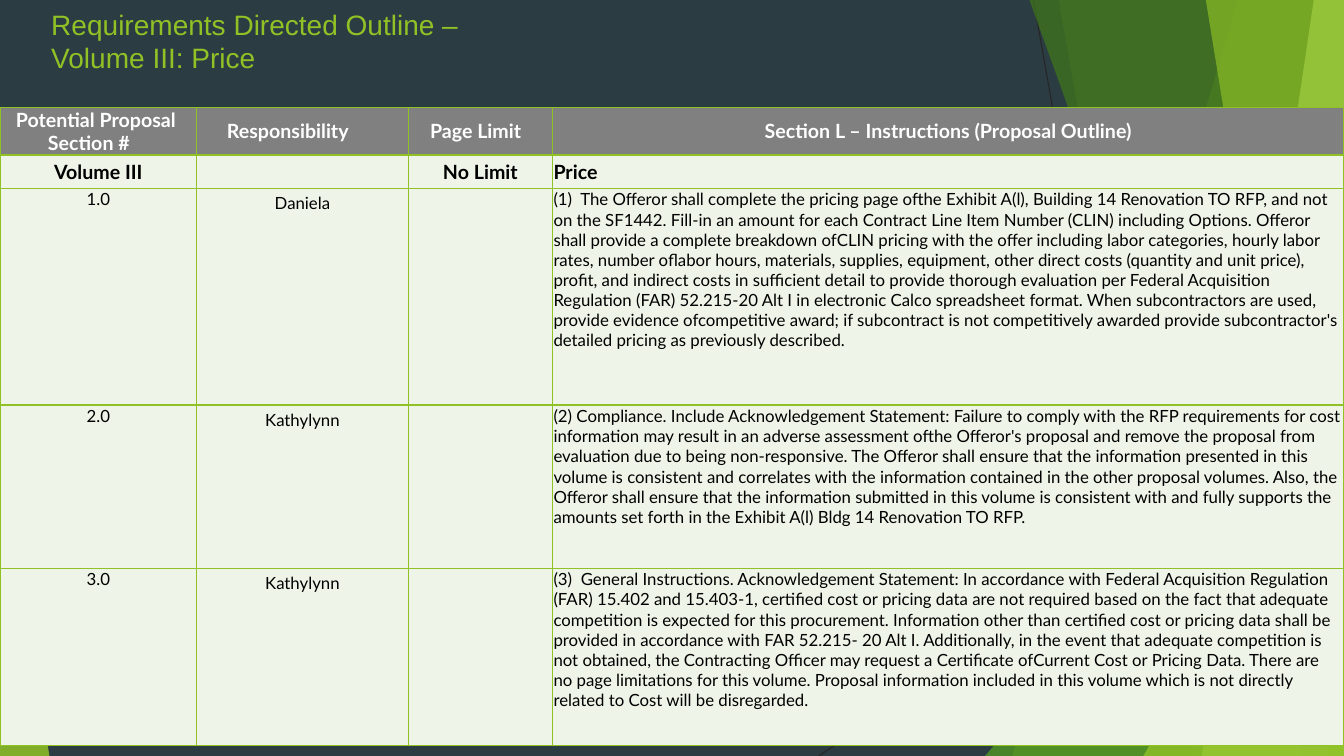
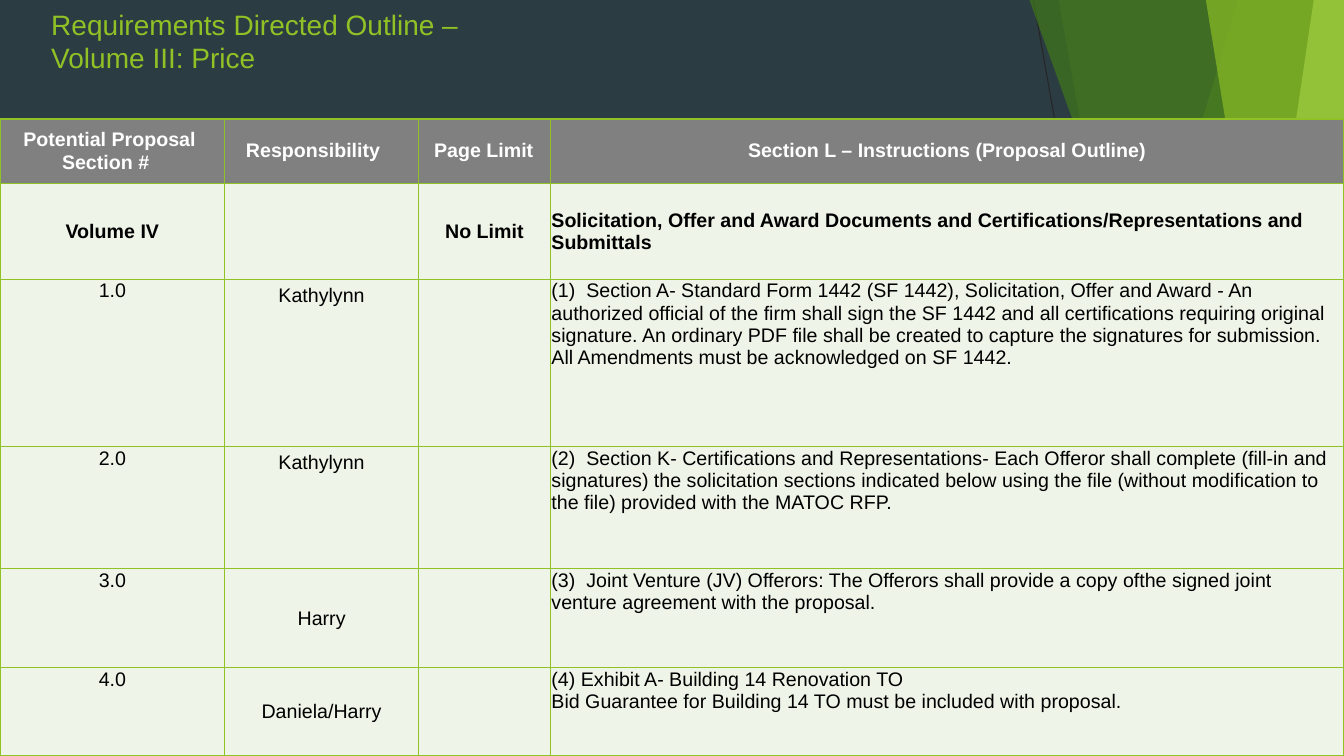
from dataclasses import dataclass
from typing import NamedTuple

from lxml.etree import SubElement
from pptx import Presentation
from pptx.dml.color import RGBColor
from pptx.enum.shapes import MSO_CONNECTOR, MSO_SHAPE
from pptx.enum.text import MSO_ANCHOR, PP_ALIGN
from pptx.oxml.ns import qn
from pptx.util import Inches, Pt

WIDTH, HEIGHT = 13.33, 7.5
BACKGROUND = "2C3C43"
GREEN = "90C226"
HAIRLINE = "262626"
HEADER_FILL = "808080"
BODY_FILL = "EEF4E8"
WHITE, BLACK = "FFFFFF", "000000"
TITLE = "Requirements Directed Outline –\nVolume III: Price"
HEADERS = (
    "Potential Proposal \nSection #\t",
    "Responsibility\t",
    "Page Limit\t",
    "Section L – Instructions (Proposal Outline)",
)


class Line(NamedTuple):
    x1: float
    y1: float
    x2: float
    y2: float


class Band(NamedTuple):
    """Full-height area whose slanted left side runs from top to bottom."""
    top: float
    bottom: float
    colour: str
    opacity: int


class Triangle(NamedTuple):
    left: float
    top: float
    width: float
    apex: float
    colour: str
    opacity: int


class Row(NamedTuple):
    height: float
    section: str
    person: str
    instruction: str
    person_gap: float | None = 0.05  # None centres the name vertically


@dataclass
class Outline:
    font: str
    body_size: int
    top: float
    columns: tuple[float, ...]
    header_height: float
    volume_height: float
    volume: str
    volume_title: str
    rows: tuple[Row, ...]


DECORATION = (
    Line(10.25, 0, 11.58, HEIGHT),
    Line(WIDTH, 4.03, 8.12, HEIGHT),
    Band(12.28, 10.04, GREEN, 30),
    Band(10.5, 11.83, GREEN, 20),
    Triangle(9.77, 3.33, 3.56, 1, "54A021", 72),
    Band(10.21, 12.91, "3F7819", 70),
    Band(13.03, 11.92, "C0E474", 70),
    Band(11.96, 13.18, GREEN, 65),
    Triangle(11.34, 3.93, 1.99, 1, GREEN, 80),
    Triangle(0, 4.39, 0.49, 0, GREEN, 85),
)

OUTLINES = (
    Outline(
        font="Lato", body_size=12, top=1.07, columns=(1.95, 2.1, 1.43, 7.85),
        header_height=0.46, volume_height=0.33,
        volume="Volume III", volume_title="Price",
        rows=(
            Row(2.15, "1.0", "Daniela",
                "(1)  The Offeror shall complete the pricing page ofthe Exhibit A(l), Building 14 "
                "Renovation TO RFP, and not on the SF1442. Fill-in an amount for each Contract Line "
                "Item Number (CLIN) including Options. Offeror shall provide a complete breakdown "
                "ofCLIN pricing with the offer including labor categories, hourly labor rates, number "
                "oflabor hours, materials, supplies, equipment, other direct costs (quantity and unit "
                "price), profit, and indirect costs in sufficient detail to provide thorough "
                "evaluation per Federal Acquisition Regulation (FAR) 52.215-20 Alt I in electronic "
                "Calco spreadsheet format. When subcontractors are used, provide evidence "
                "ofcompetitive award; if subcontract is not competitively awarded provide "
                "subcontractor's detailed pricing as previously described."),
            Row(1.62, "2.0", "Kathylynn",
                "(2) Compliance. Include Acknowledgement Statement: Failure to comply with the RFP "
                "requirements for cost information may result in an adverse assessment ofthe "
                "Offeror's proposal and remove the proposal from evaluation due to being "
                "non-responsive. The Offeror shall ensure that the information presented in this "
                "volume is consistent and correlates with the information contained in the other "
                "proposal volumes. Also, the Offeror shall ensure that the information submitted in "
                "this volume is consistent with and fully supports the amounts set forth in the "
                "Exhibit A(l) Bldg 14 Renovation TO RFP."),
            Row(1.76, "3.0", "Kathylynn",
                "(3)  General Instructions. Acknowledgement Statement: In accordance with Federal "
                "Acquisition Regulation (FAR) 15.402 and 15.403-1, certified cost or pricing data are "
                "not required based on the fact that adequate competition is expected for this "
                "procurement. Information other than certified cost or pricing data shall be provided "
                "in accordance with FAR 52.215- 20 Alt I. Additionally, in the event that adequate "
                "competition is not obtained, the Contracting Officer may request a Certificate "
                "ofCurrent Cost or Pricing Data. There are no page limitations for this volume. "
                "Proposal information included in this volume which is not directly related to Cost "
                "will be disregarded."),
        ),
    ),
    Outline(
        font="Arial", body_size=14, top=1.18, columns=(2.23, 1.92, 1.31, 7.87),
        header_height=0.64, volume_height=0.95, volume="Volume IV",
        volume_title="Solicitation, Offer and Award Documents and "
                     "Certifications/Representations and Submittals",
        rows=(
            Row(1.66, "1.0", "Kathylynn",
                "(1)  Section A- Standard Form 1442 (SF 1442), Solicitation, Offer and Award - An "
                "authorized official of the firm shall sign the SF 1442 and all certifications "
                "requiring original signature. An ordinary PDF file shall be created to capture the "
                "signatures for submission. All Amendments must be acknowledged on SF 1442."),
            Row(1.21, "2.0", "Kathylynn",
                "(2)  Section K- Certifications and Representations- Each Offeror shall complete "
                "(fill-in and signatures) the solicitation sections indicated below using the file "
                "(without modification to the file) provided with the MATOC RFP."),
            Row(0.98, "3.0", "Harry",
                "(3)  Joint Venture (JV) Offerors: The Offerors shall provide a copy ofthe signed "
                "joint venture agreement with the proposal.", None),
            Row(0.88, "4.0", "Daniela/Harry",
                "(4) Exhibit A- Building 14 Renovation TO\n"
                "Bid Guarantee for Building 14 TO must be included with proposal.", None),
        ),
    ),
)


def colour_of(value: str) -> RGBColor:
    return RGBColor.from_string(value)


def write(frame, text: str, *, font: str, size: int, colour: str,
          bold: bool = False, align=PP_ALIGN.LEFT) -> None:
    """Fill a text frame, one paragraph for each line of text."""
    for index, line in enumerate(text.split("\n")):
        para = frame.paragraphs[0] if index == 0 else frame.add_paragraph()
        para.alignment = align
        if not line:
            continue
        span = para.add_run()
        span.text = line
        span.font.name = font
        span.font.size = Pt(size)
        span.font.bold = bold
        span.font.color.rgb = colour_of(colour)


def paint(shape, colour: str, opacity: int) -> None:
    shape.shadow.inherit = False
    shape.line.fill.background()
    shape.fill.solid()
    shape.fill.fore_color.rgb = colour_of(colour)
    colour_tag = shape.element.spPr.find(qn("a:solidFill"))[0]
    SubElement(colour_tag, qn("a:alpha")).set("val", str(opacity * 1000))


def draw_line(page, line: Line) -> None:
    connector = page.shapes.add_connector(
        MSO_CONNECTOR.STRAIGHT, *(Inches(value) for value in line))
    connector.line.color.rgb = colour_of(HAIRLINE)
    connector.line.width = Pt(0.75)
    SubElement(connector.element.spPr, qn("a:effectLst"))


def draw_band(page, band: Band) -> None:
    builder = page.shapes.build_freeform(Inches(band.top), 0)
    corners = ((WIDTH, 0), (WIDTH, HEIGHT), (band.bottom, HEIGHT))
    builder.add_line_segments([(Inches(x), Inches(y)) for x, y in corners], close=True)
    paint(builder.convert_to_shape(), band.colour, band.opacity)


def draw_triangle(page, triangle: Triangle) -> None:
    shape = page.shapes.add_shape(
        MSO_SHAPE.ISOSCELES_TRIANGLE, Inches(triangle.left), Inches(triangle.top),
        Inches(triangle.width), Inches(HEIGHT - triangle.top))
    shape.adjustments[0] = triangle.apex
    paint(shape, triangle.colour, triangle.opacity)


def draw_decoration(page) -> None:
    painters = {Line: draw_line, Band: draw_band, Triangle: draw_triangle}
    for item in DECORATION:
        painters[type(item)](page, item)


def draw_title(page) -> None:
    box = page.shapes.add_textbox(Inches(0.41), 0, Inches(9.91), Inches(1.18))
    box.text_frame.word_wrap = True
    box.text_frame.margin_top = Inches(0.07)
    write(box.text_frame, TITLE, font="Arial", size=20, colour=GREEN)


def format_cell(cell, fill: str, inset: float, anchor) -> None:
    properties = cell._tc.get_or_add_tcPr()
    for side in ("lnL", "lnR", "lnT", "lnB"):
        border = SubElement(properties, qn(f"a:{side}"), w=str(Pt(1)))
        solid = SubElement(border, qn("a:solidFill"))
        SubElement(solid, qn("a:srgbClr"), val=GREEN)
    cell.fill.solid()
    cell.fill.fore_color.rgb = colour_of(fill)
    cell.margin_left = cell.margin_right = cell.margin_top = Inches(inset)
    cell.margin_bottom = 0
    cell.vertical_anchor = anchor


def draw_outline(page, outline: Outline) -> None:
    heights = [outline.header_height, outline.volume_height,
               *(row.height for row in outline.rows)]
    table = page.shapes.add_table(
        len(heights), len(outline.columns), 0, Inches(outline.top),
        Inches(sum(outline.columns)), Inches(sum(heights))).table
    table.first_row = table.horz_banding = False
    for column, width in zip(table.columns, outline.columns):
        column.width = Inches(width)
    for table_row, height in zip(table.rows, heights):
        table_row.height = Inches(height)

    for column, text in enumerate(HEADERS):
        cell = table.cell(0, column)
        format_cell(cell, HEADER_FILL, 0, MSO_ANCHOR.MIDDLE)
        write(cell.text_frame, text, font=outline.font, size=14, colour=WHITE,
              bold=True, align=PP_ALIGN.CENTER)

    volume_texts = (outline.volume, "", "No Limit", outline.volume_title)
    body = [volume_texts, *((row.section, row.person, "", row.instruction)
                            for row in outline.rows)]
    for index, texts in enumerate(body, start=1):
        is_volume = index == 1
        anchor = MSO_ANCHOR.MIDDLE if is_volume else MSO_ANCHOR.TOP
        for column, text in enumerate(texts):
            cell = table.cell(index, column)
            format_cell(cell, BODY_FILL, 0.01, anchor)
            write(cell.text_frame, text, font=outline.font, colour=BLACK, bold=is_volume,
                  size=14 if is_volume else outline.body_size,
                  align=PP_ALIGN.LEFT if column == 3 else PP_ALIGN.CENTER)

    for index, row in enumerate(outline.rows, start=2):
        person_cell = table.cell(index, 1)
        if row.person_gap is None:
            person_cell.vertical_anchor = MSO_ANCHOR.MIDDLE
        else:
            person_cell.margin_top = Inches(row.person_gap)


def main() -> None:
    deck = Presentation()
    deck.slide_width, deck.slide_height = Inches(WIDTH), Inches(HEIGHT)
    background = deck.slide_master.background.fill
    background.solid()
    background.fore_color.rgb = colour_of(BACKGROUND)
    for outline in OUTLINES:
        page = deck.slides.add_slide(deck.slide_layouts[6])
        draw_decoration(page)
        draw_title(page)
        draw_outline(page, outline)
    deck.save("out.pptx")


if __name__ == "__main__":
    main()
